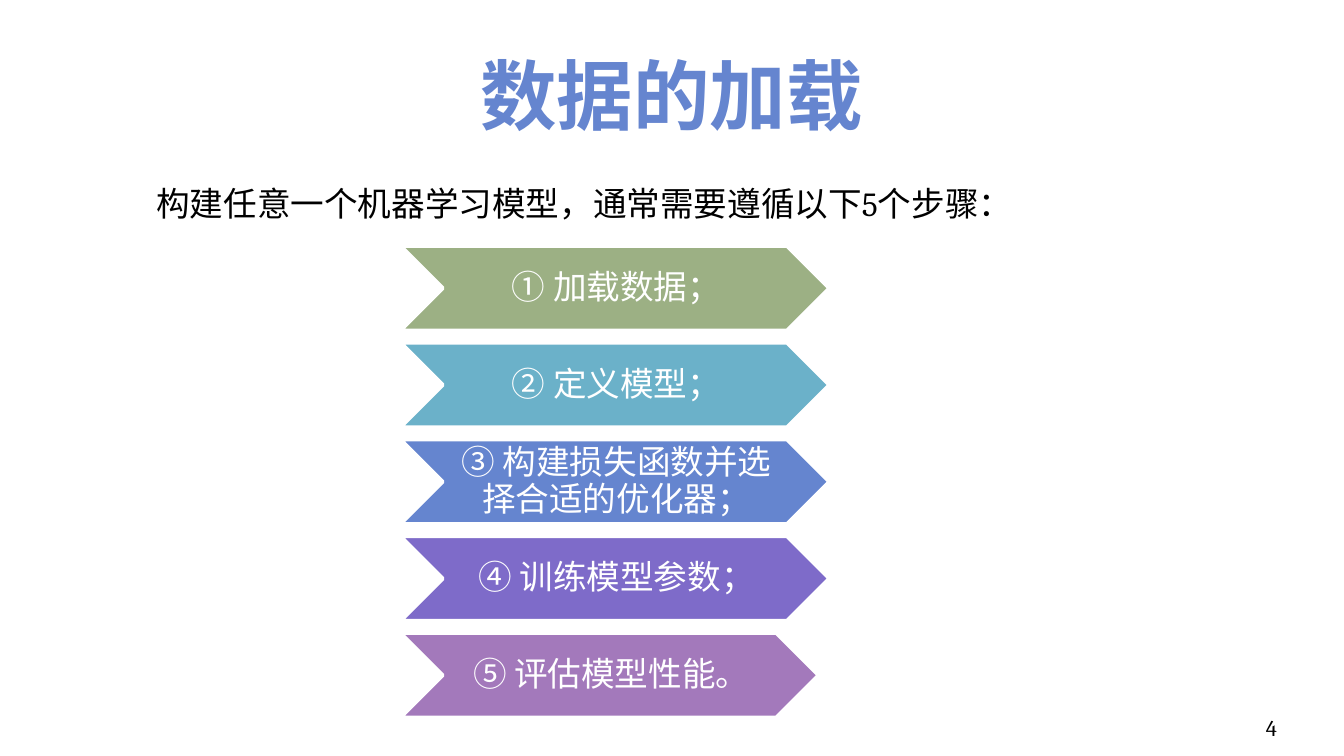
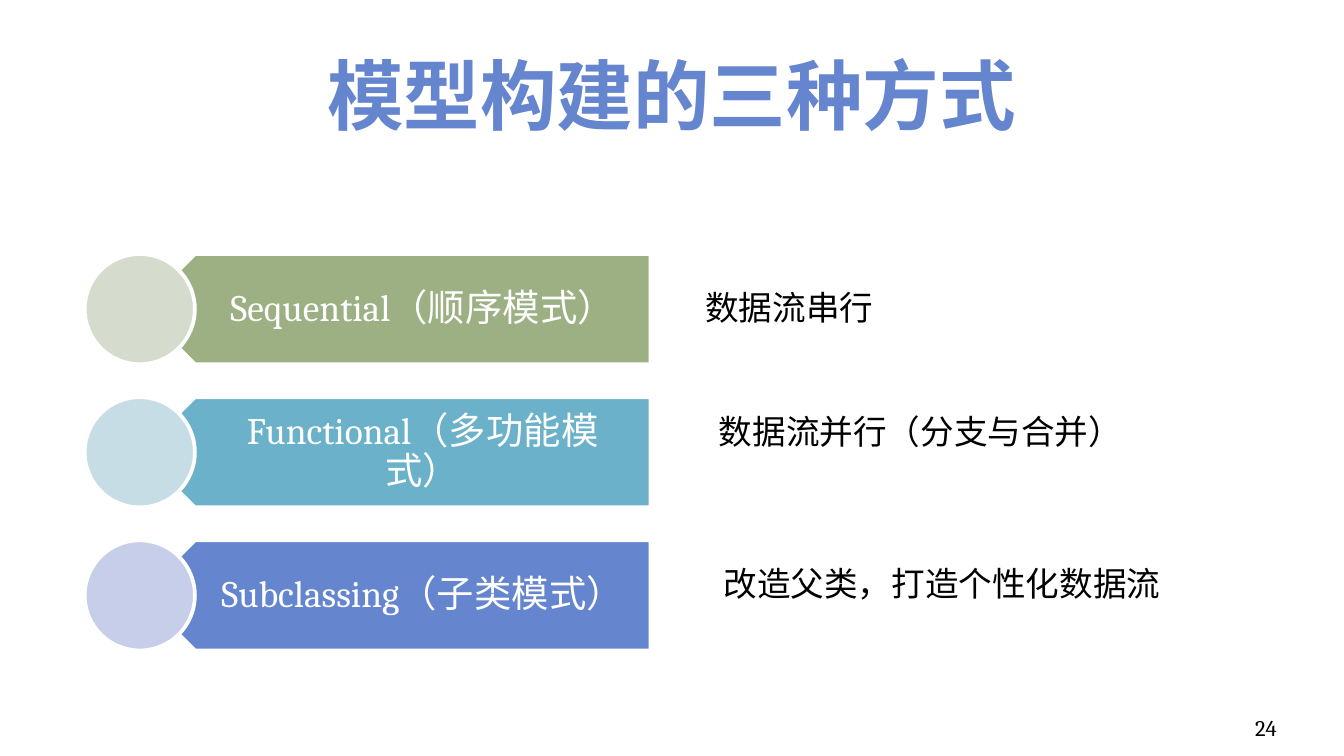
import pptx
import pptx.dml.color
import pptx.enum.shapes
import pptx.enum.text
import pptx.util

PX = 4572
SLIDE_WIDTH, SLIDE_HEIGHT = 2000, 1125
SHAPES = pptx.enum.shapes.MSO_SHAPE
ALIGN = pptx.enum.text.PP_ALIGN
ANCHOR = pptx.enum.text.MSO_ANCHOR

COLORS = {
    "white": "FFFFFF",
    "black": "000000",
    "green": "9CB084",
    "teal": "6BB1C9",
    "blue": "6585CF",
    "violet": "7E6BC9",
    "purple": "A379BB",
    "pale_green": "D5DCCE",
    "pale_teal": "C7DDE6",
    "pale_blue": "C6CEE9",
}
HEADING_FONT = "Noto Sans"
BODY_FONT = "Cambria"

TITLE_BOX = (100, 45, 1800, 188)
NUMBER_BOX = (1734, 1053, 166, 60)

STEPS = [
    ("① 加载数据；", "green", 638),
    ("② 定义模型；", "teal", 638),
    ("③ 构建损失函数并选择合适的优化器；", "blue", 638),
    ("④ 训练模型参数；", "violet", 638),
    ("⑤ 评估模型性能。", "purple", 622),
]
MODES = [
    ("Sequential（顺序模式）", "green", "pale_green"),
    ("Functional（多功能模式）", "teal", "pale_teal"),
    ("Subclassing（子类模式）", "blue", "pale_blue"),
]
MODE_NOTES = [
    ("数据流串行", 1030, 417),
    ("数据流并行（分支与合并）", 1050, 602),
    ("改造父类，打造个性化数据流", 1057, 828),
]


def rgb(name):
    return pptx.dml.color.RGBColor.from_string(COLORS[name])


def emu(lengths):
    return [pptx.util.Emu(length * PX) for length in lengths]


def add_text(slide, box, text, size=18, color="black", font=BODY_FONT, bold=False,
             align=ALIGN.LEFT, anchor=ANCHOR.TOP, insets=(20, 10, 20, 10), spacing=None):
    frame = slide.shapes.add_textbox(*emu(box)).text_frame
    frame.word_wrap = True
    frame.vertical_anchor = anchor
    frame.margin_left, frame.margin_top, frame.margin_right, frame.margin_bottom = emu(insets)
    paragraph = frame.paragraphs[0]
    paragraph.text = text
    paragraph.alignment = align
    paragraph.line_spacing = spacing
    for run in paragraph.runs:
        run.font.name = font
        run.font.size = pptx.util.Pt(size)
        run.font.bold = bold
        run.font.color.rgb = rgb(color)


def add_outlined(slide, preset, box, fill, rotation=0):
    shape = slide.shapes.add_shape(preset, *emu(box))
    shape.shadow.inherit = False
    shape.rotation = rotation
    shape.fill.solid()
    shape.fill.fore_color.rgb = rgb(fill)
    shape.line.color.rgb = rgb("white")
    shape.line.width = pptx.util.Pt(2)


def add_label(slide, box, text, size, insets):
    add_text(slide, box, text, size, "white", align=ALIGN.CENTER,
             anchor=ANCHOR.MIDDLE, insets=insets, spacing=0.9)


def add_titled_slide(deck, title, number):
    slide = deck.slides.add_slide(deck.slide_layouts[6])
    add_text(slide, TITLE_BOX, title, 41, "blue", HEADING_FONT, True,
             ALIGN.CENTER, ANCHOR.MIDDLE)
    add_text(slide, NUMBER_BOX, str(number), 12, align=ALIGN.RIGHT,
             anchor=ANCHOR.BOTTOM, insets=(0, 10, 0, 10))
    return slide


def add_step_chevrons(slide, left, top, height, pitch):
    notch = height // 2
    for index, (step, color, width) in enumerate(STEPS):
        step_top = top + index * pitch
        add_outlined(slide, SHAPES.CHEVRON, (left, step_top, width, height), color)
        add_label(slide, (left + notch, step_top, width - height, height), step, 18,
                  insets=(5, 3, 0, 2))


def add_mode_banners(slide, left, top, width, height, gap):
    radius = height // 2
    for index, (mode, color, pale) in enumerate(MODES):
        mode_top = top + index * (height + gap)
        add_outlined(slide, SHAPES.PENTAGON,
                     (left + radius, mode_top, width - radius, height), color, 180)
        label_left = radius + height // 4 + 1
        add_label(slide, (left + label_left, mode_top, width - label_left, height),
                  mode, 20, insets=(72, 16, 32, 16))
        add_outlined(slide, SHAPES.OVAL, (left, mode_top, height, height), pale)


def build_steps_slide(deck):
    slide = add_titled_slide(deck, "数据的加载", 4)
    add_text(slide, (213, 262, 1486, 80), "构建任意一个机器学习模型，通常需要遵循以下5个步骤：")
    add_step_chevrons(slide, left=596, top=366, height=126, pitch=144)


def build_modes_slide(deck):
    slide = add_titled_slide(deck, "模型构建的三种方式", 24)
    add_mode_banners(slide, left=126, top=378, width=842, height=164, gap=49)
    for note, left, top in MODE_NOTES:
        add_text(slide, (left, top, 850, 80), note)


def main():
    deck = pptx.Presentation()
    deck.slide_width, deck.slide_height = emu((SLIDE_WIDTH, SLIDE_HEIGHT))
    build_steps_slide(deck)
    build_modes_slide(deck)
    deck.save("out.pptx")


if __name__ == "__main__":
    main()
